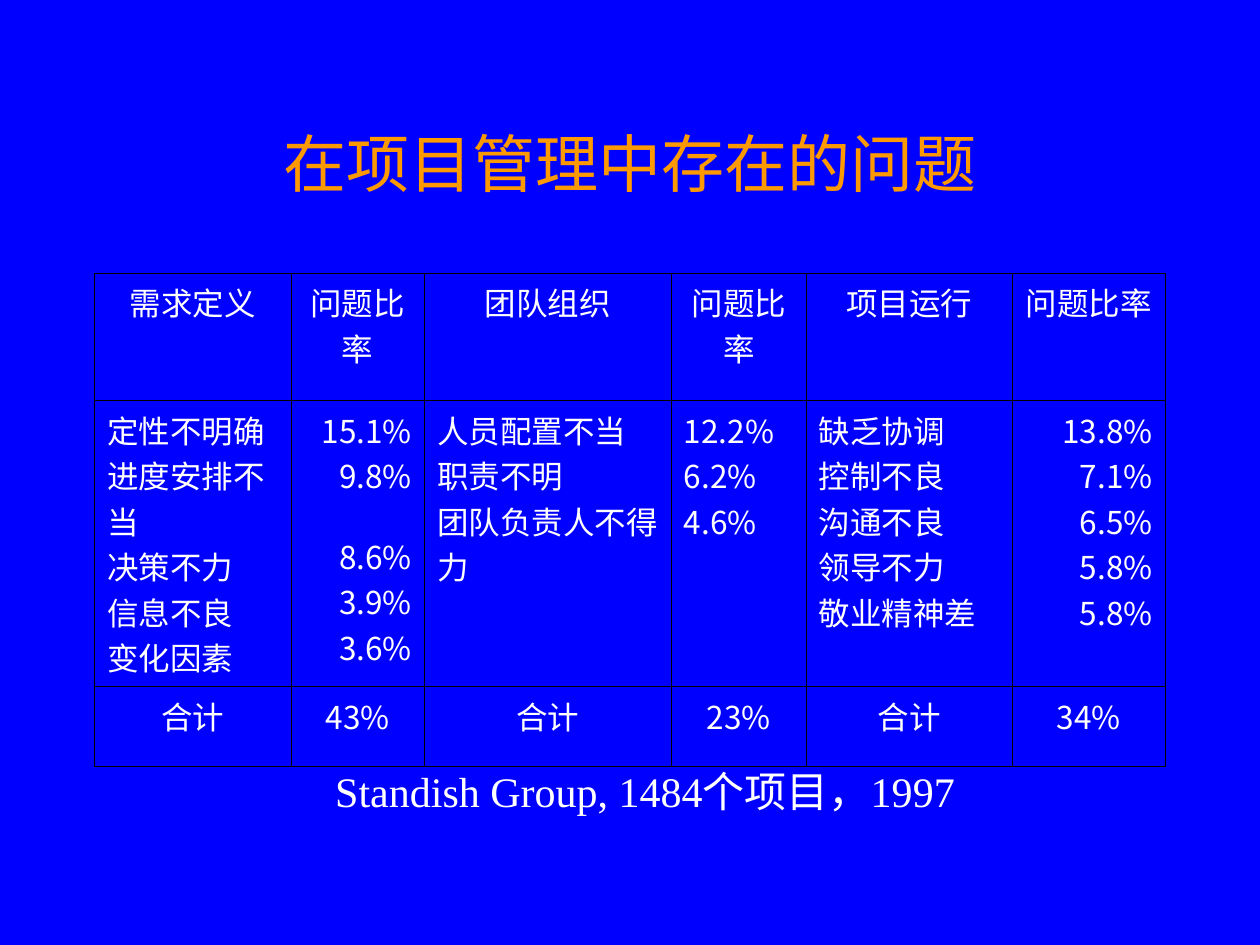
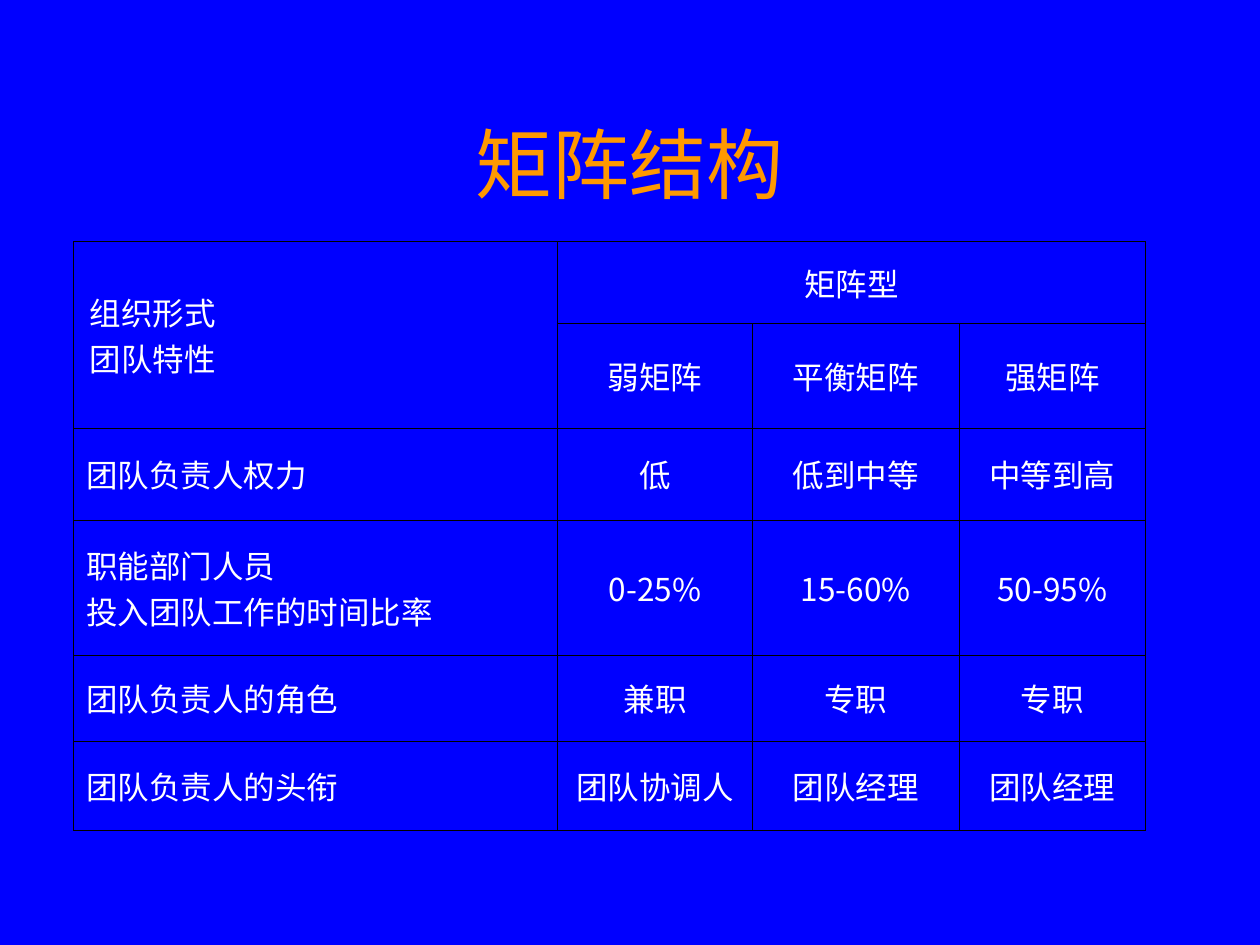
"""Build two slides on project management problems and matrix organisations."""
from lxml import etree
from pptx import Presentation
from pptx.dml.color import RGBColor
from pptx.enum.text import MSO_ANCHOR, MSO_AUTO_SIZE, PP_ALIGN
from pptx.oxml.ns import qn
from pptx.util import Pt

LEFT, CENTER, RIGHT = PP_ALIGN.LEFT, PP_ALIGN.CENTER, PP_ALIGN.RIGHT
TOP, MIDDLE = MSO_ANCHOR.TOP, MSO_ANCHOR.MIDDLE
FIXED = MSO_AUTO_SIZE.NONE

COLORS = {"background": "0000FF", "title": "FF9900", "text": "FFFFFF", "border": "000000"}
SANS, SERIF = "Noto Sans CJK SC", "Times New Roman"
TITLE_ONLY = 5


def write_lines(frame, text, size, color="text", align=LEFT, font=SANS):
    frame.word_wrap = True
    for index, line in enumerate(text.split("\n")):
        paragraph = frame.add_paragraph() if index else frame.paragraphs[0]
        paragraph.alignment = align
        run = paragraph.add_run()
        run.text = line
        run.font.size = Pt(size)
        run.font.name = font
        run.font.color.rgb = RGBColor.from_string(COLORS[color])
        etree.SubElement(run.font._element, qn("a:ea"), typeface=SANS)


def add_grid(slide, left, top, widths, heights, rows, alignments, anchor):
    table = slide.shapes.add_table(len(heights), len(widths), Pt(left), Pt(top),
                                   Pt(sum(widths)), Pt(sum(heights))).table
    table.first_row = table.horz_banding = False
    for column, width in zip(table.columns, widths):
        column.width = Pt(width)
    for row, height in zip(table.rows, heights):
        row.height = Pt(height)
    for row, texts, aligns in zip(table.rows, rows, alignments):
        for cell, text, align in zip(row.cells, texts, aligns):
            cell.vertical_anchor = anchor
            properties = cell._tc.get_or_add_tcPr()
            for side in ("lnL", "lnR", "lnT", "lnB"):
                border = etree.SubElement(properties, qn(f"a:{side}"), w=str(Pt(0.45)))
                fill = etree.SubElement(border, qn("a:solidFill"))
                etree.SubElement(fill, qn("a:srgbClr"), val=COLORS["border"])
            cell.fill.background()
            if text:
                write_lines(cell.text_frame, text, 18, align=align)
    return table


prs = Presentation()
prs.slide_width, prs.slide_height = Pt(720), Pt(540)
master_fill = prs.slide_master.background.fill
master_fill.solid()
master_fill.fore_color.rgb = RGBColor.from_string(COLORS["background"])

slides = []
for heading, size in (("在项目管理中存在的问题", 36), ("矩阵结构", 44)):
    slide = prs.slides.add_slide(prs.slide_layouts[TITLE_ONLY])
    title = slide.shapes.title
    title.left, title.top, title.width, title.height = Pt(54), Pt(48), Pt(612), Pt(90)
    title.text_frame.auto_size = FIXED
    title.text_frame.vertical_anchor = MIDDLE
    write_lines(title.text_frame, heading, size, "title", CENTER)
    slides.append(slide)
problems_slide, matrix_slide = slides

problem_rows = [
    ["需求定义", "问题比率", "团队组织", "问题比率", "项目运行", "问题比率"],
    ["定性不明确\n进度安排不当\n决策不力\n信息不良\n变化因素",
     "15.1%\n9.8%\n8.6%\n3.9%\n3.6%",
     "人员配置不当\n职责不明\n团队负责人不得力",
     "12.2%\n6.2%\n4.6%",
     "缺乏协调\n控制不良\n沟通不良\n领导不力\n敬业精神差",
     "13.8%\n7.1%\n6.5%\n5.8%\n5.8%"],
    ["合计", "43%", "合计", "23%", "合计", "34%"],
]
problem_aligns = [[CENTER] * 6, [LEFT, RIGHT, LEFT, LEFT, LEFT, RIGHT], [CENTER] * 6]
problems = add_grid(problems_slide, 54, 156, [112.3, 76.3, 141.1, 77, 118.1, 87.1],
                    [72.7, 137, 45.5], problem_rows, problem_aligns, TOP)
decision_rate = problems.cell(1, 1).text_frame.paragraphs[2]
decision_rate.space_before = Pt(20)

survey = problems_slide.shapes.add_textbox(Pt(184.5), Pt(434), Pt(487.5), Pt(36))
write_lines(survey.text_frame, "Standish Group, 1484个项目，1997", 24, font=SERIF)

matrix_rows = [
    ["组织形式\n团队特性", "矩阵型", None, None],
    [None, "弱矩阵", "平衡矩阵", "强矩阵"],
    ["团队负责人权力", "低", "低到中等", "中等到高"],
    ["职能部门人员\n投入团队工作的时间比率", "0-25%", "15-60%", "50-95%"],
    ["团队负责人的角色", "兼职", "专职", "专职"],
    ["团队负责人的头衔", "团队协调人", "团队经理", "团队经理"],
]
matrix_aligns = [[LEFT] + [CENTER] * 3] * len(matrix_rows)
matrix = add_grid(matrix_slide, 42, 138, [276.5, 111.6, 118, 106.5],
                  [46.8, 59.7, 53, 77, 49, 51], matrix_rows, matrix_aligns, MIDDLE)
matrix.cell(0, 0).merge(matrix.cell(1, 0))
matrix.cell(0, 1).merge(matrix.cell(0, 3))
for paragraph in matrix.cell(0, 0).text_frame.paragraphs:
    indent = paragraph._p.get_or_add_pPr()
    indent.set("marL", str(Pt(27)))
    indent.set("indent", str(Pt(-25)))

prs.save("out.pptx")
